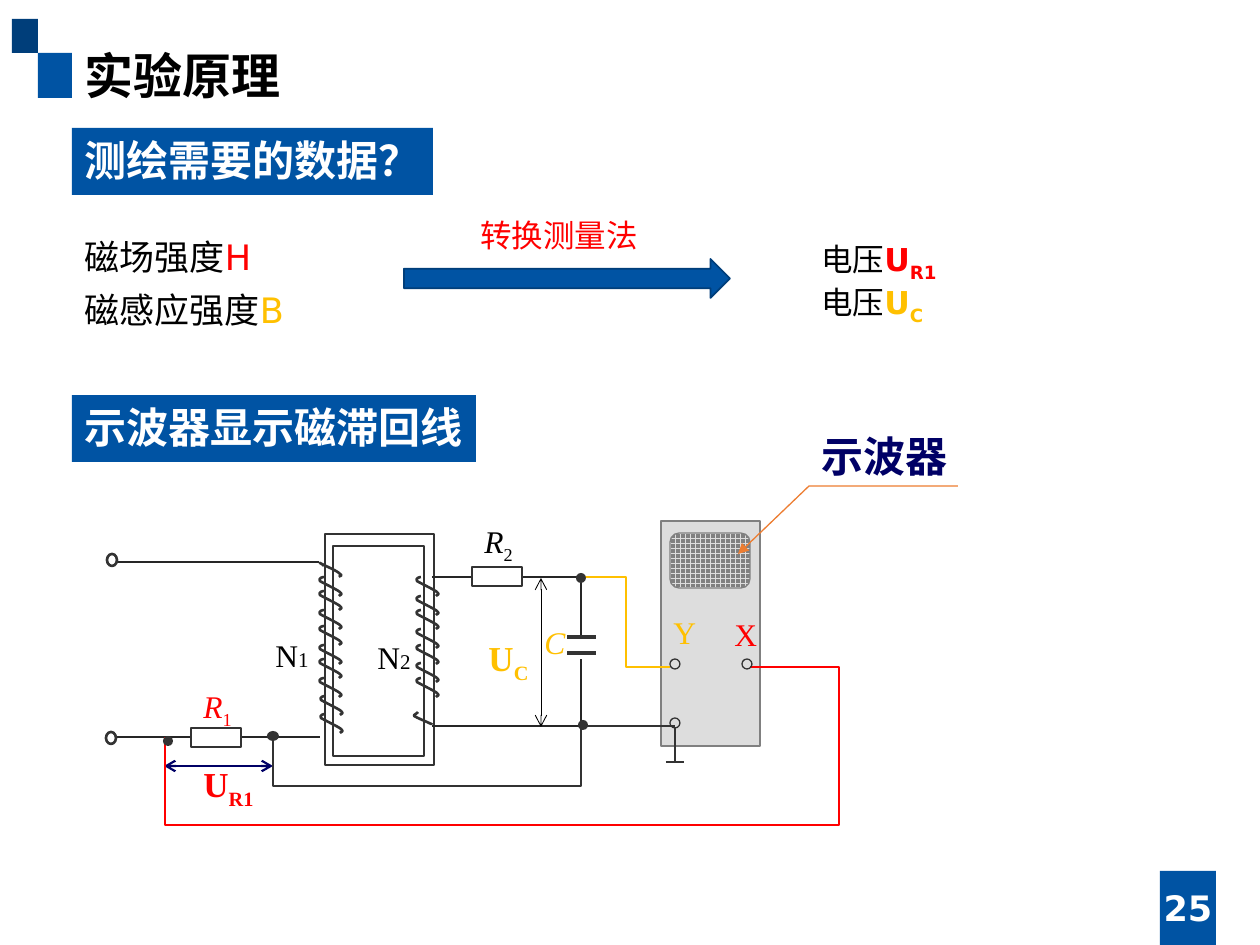
"""Build the hysteresis-loop measurement slide with its circuit diagram."""
from dataclasses import dataclass

import lxml.etree
import pptx
import pptx.dml.color
import pptx.enum.dml
import pptx.enum.shapes
import pptx.enum.text
import pptx.oxml.ns
import pptx.util

RGBColor = pptx.dml.color.RGBColor
Shape = pptx.enum.shapes.MSO_SHAPE
Fit = pptx.enum.text.MSO_AUTO_SIZE
Anchor = pptx.enum.text.MSO_ANCHOR
Align = pptx.enum.text.PP_ALIGN
qn = pptx.oxml.ns.qn

EMU_PER_PX = 914400 / 126
BLUE = RGBColor(0x00, 0x53, 0xA3)
DEEP_BLUE = RGBColor(0x00, 0x3E, 0x7A)
NAVY = RGBColor(0x00, 0x00, 0x66)
RED = RGBColor(0xFF, 0x00, 0x00)
GOLD = RGBColor(0xFF, 0xC0, 0x00)
ORANGE = RGBColor(0xED, 0x7D, 0x31)
BLACK = RGBColor(0x00, 0x00, 0x00)
WHITE = RGBColor(0xFF, 0xFF, 0xFF)
WIRE = RGBColor(0x26, 0x26, 0x26)
DARK = RGBColor(0x33, 0x33, 0x33)
GRAY = RGBColor(0x80, 0x80, 0x80)
LIGHT = RGBColor(0xDD, 0xDD, 0xDD)
SANS, CJK, SERIF = "DejaVu Sans", "Noto Sans CJK SC", "Times New Roman"


@dataclass
class Span:
    text: str
    size: int
    color: RGBColor = BLACK
    font: str = SANS
    bold: bool = False
    italic: bool = False
    sub: bool = False


@dataclass
class Label:
    box: tuple
    lines: list
    wrap: bool = False
    fill: RGBColor | None = None


@dataclass
class Part:
    kind: Shape
    box: tuple
    fill: RGBColor | None = None
    line: RGBColor | None = None
    weight: float = 0.75


@dataclass
class Wire:
    points: list
    color: RGBColor = DARK
    weight: float = 0.75
    head: str = ""
    tail: str = ""


def px(value: float) -> int:
    """Turn pixels into EMU."""
    return round(value * EMU_PER_PX)


def place(shape, box: tuple) -> None:
    """Move and size a shape."""
    shape.left, shape.top, shape.width, shape.height = map(px, box)


def write(frame, lines: list, wrap: bool, fit: Fit, spacing: float | None = None) -> None:
    """Fill a text frame with lines of formatted spans."""
    frame.word_wrap, frame.auto_size = wrap, fit
    for index, spans in enumerate(lines):
        para = frame.paragraphs[0] if index == 0 else frame.add_paragraph()
        para.space_before = pptx.util.Pt(0)
        para.alignment = Align.LEFT
        if spacing:
            para.line_spacing = spacing
        for span in spans:
            run = para.add_run()
            run.text = span.text
            font = run.font
            font.size, font.bold, font.italic = pptx.util.Pt(span.size), span.bold, span.italic
            font.color.rgb, font.name = span.color, span.font
            properties = run._r.get_or_add_rPr()
            lxml.etree.SubElement(properties, qn("a:ea"), typeface=CJK)
            if span.sub:
                properties.set("baseline", "-25000")


def draw_label(page, label: Label):
    """Add a text box."""
    box = page.shapes.add_textbox(*map(px, label.box))
    if label.fill is not None:
        box.fill.solid()
        box.fill.fore_color.rgb = label.fill
    write(box.text_frame, label.lines, label.wrap, Fit.SHAPE_TO_FIT_TEXT)
    return box


def draw_part(page, part: Part):
    """Add a preset shape."""
    shape = page.shapes.add_shape(part.kind, *map(px, part.box))
    shape.shadow.inherit = False
    if part.fill is None:
        shape.fill.background()
    else:
        shape.fill.solid()
        shape.fill.fore_color.rgb = part.fill
    if part.line is None:
        shape.line.fill.background()
    else:
        shape.line.color.rgb = part.line
        shape.line.width = pptx.util.Pt(part.weight)
    return shape


def draw_wire(page, wire: Wire):
    """Add a connector for two points, or an open outline for more."""
    points = [(px(x), px(y)) for x, y in wire.points]
    if len(points) == 2:
        straight = pptx.enum.shapes.MSO_CONNECTOR.STRAIGHT
        shape = page.shapes.add_connector(straight, *points[0], *points[1])
        lxml.etree.SubElement(shape.element.spPr, qn("a:effectLst"))
    else:
        builder = page.shapes.build_freeform(*points[0])
        builder.add_line_segments(points[1:], close=False)
        shape = builder.convert_to_shape()
        shape.shadow.inherit = False
        shape.fill.background()
    shape.line.color.rgb = wire.color
    shape.line.width = pptx.util.Pt(wire.weight)
    outline = shape.element.spPr.find(qn("a:ln"))
    for tag, kind in (("a:headEnd", wire.head), ("a:tailEnd", wire.tail)):
        if kind:
            lxml.etree.SubElement(outline, qn(tag), type=kind)
    return shape


def draw_turn(page, x: int, y: int, curve: list) -> None:
    """Add one coil turn, joining each three segments into a cubic curve."""
    shape = draw_wire(page, Wire([(x + dx, y + dy) for dx, dy in curve], DARK, 1.5))
    segments = list(shape.element.iter(qn("a:lnTo")))
    route = segments[0].getparent()
    for start in range(0, len(segments), 3):
        cubic = lxml.etree.SubElement(route, qn("a:cubicBezTo"))
        for segment in segments[start:start + 3]:
            cubic.append(segment[0])
            route.remove(segment)


TURN = [(0, 0), (-1, 0), (-6, 1), (-4, 4), (-1, 6), (14, 13), (16, 15), (20, 18), (15, 18), (15, 19)]
FIRST_TURN = [(0, 0), (0, -1), (-6, -4), (-4, -3), (-1, -1), (14, 5), (16, 8), (20, 10), (15, 10), (15, 11)]
LAST_TURN = [(0, 0), (0, 1), (-5, 3), (-4, 4), (-1, 6), (9, 10), (11, 11), (14, 13), (14, 11), (14, 11)]
PRIMARY = [(324, y) for y in (577, 591, 610, 626, 645, 659, 678)] + [(325, 696), (325, 714)]
SECONDARY = [(421, y) for y in (577, 596, 610, 629, 645, 663, 678)]

BLOCKS = [
    Part(Shape.RECTANGLE, (38, 53, 34, 45), BLUE),
    Part(Shape.RECTANGLE, (12, 19, 26, 34), DEEP_BLUE),
    Part(Shape.RECTANGLE, (1160, 871, 56, 74), BLUE),
    Part(Shape.RIGHT_ARROW, (404, 259, 326, 39), BLUE, DEEP_BLUE, 1),
    Part(Shape.RECTANGLE, (325, 534, 109, 231), None, DARK, 1.5),
    Part(Shape.RECTANGLE, (333, 546, 91, 210), None, DARK, 1.5),
    Part(Shape.RECTANGLE, (661, 521, 99, 225), LIGHT, GRAY),
]
WIRES = [
    Wire([(164, 766), (273, 766)], NAVY, 1.25, "arrow", "arrow"),
    Wire([(319, 558), (319, 558)], BLACK, 1.5),
    Wire([(319, 562), (117, 562)], WIRE, 1),
    Wire([(320, 737), (117, 737)], WIRE, 1),
    Wire([(432, 577), (581, 577), (581, 637)], WIRE, 1.5),
    Wire([(581, 637), (581, 637)], BLACK),
    Wire([(432, 726), (581, 726), (581, 659)], WIRE, 1.5),
    Wire([(567, 637), (596, 637)], DARK, 2.25),
    Wire([(567, 653), (596, 653)], DARK, 2.25),
    Wire([(675, 728), (675, 762)]),
    Wire([(666, 762), (684, 762)]),
    Wire([(581, 577), (626, 577), (626, 667), (670, 667)], GOLD, 1.5),
    Wire([(581, 726), (675, 726)]),
    Wire([(273, 733), (273, 786), (581, 786), (581, 726)]),
    Wire([(165, 737), (165, 825), (839, 825), (839, 667), (750, 667)], RED, 1.5),
    Wire([(738, 554), (809, 486), (958, 486)], ORANGE, 0.75, "triangle"),
    Wire([(541, 578), (541, 727)], BLACK, 0.5, "arrow", "arrow"),
]
RESISTORS = [Part(Shape.RECTANGLE, (x, y, 50, 19), WHITE, DARK) for x, y in ((191, 728), (472, 567))]
TERMINALS = [Part(Shape.OVAL, (x, y, 10, 12), None, DARK, 1.5) for x, y in ((107, 554), (106, 732))]
PORTS = [Part(Shape.OVAL, (x, y, 10, 10), None, DARK) for x, y in ((670, 659), (742, 659), (670, 718))]
NODES = [Part(Shape.OVAL, (x, y, width, 10), DARK)
         for x, y, width in ((576, 573, 10), (578, 720, 10), (267, 731, 12), (163, 736, 10))]


def symbol(box: tuple, name: str, index: str, color: RGBColor, size: int = 18, index_size: int = 0,
           **style) -> Label:
    """Describe a circuit symbol with an optional index."""
    spans = [Span(name, size, color, SERIF, **style)]
    if index:
        spans.append(Span(index, index_size or size, color, SERIF, style.get("bold", False), sub=not index_size))
    return Label(box, [spans])


def voltage(index: str, color: RGBColor) -> list:
    """Describe one line of the voltage list."""
    return [Span("电压", 18), Span("U", 18, color, bold=True), Span(index, 18, color, bold=True, sub=True)]


LABELS = [
    Label((72, 128, 361, 67), [[Span("测绘需要的数据？", 24, WHITE, bold=True)]], fill=BLUE),
    Label((72, 395, 404, 67), [[Span("示波器显示磁滞回线", 24, WHITE, bold=True)]], fill=BLUE),
    Label((468, 210, 227, 50), [[Span("转换测量法", 18, RED)]], wrap=True),
    Label((809, 234, 253, 89), [voltage("R1", RED), voltage("C", GOLD)], wrap=True),
    Label((809, 424, 152, 63), [[Span("示波器", 24, NAVY, CJK, bold=True)]]),
    symbol((191, 681, 56, 50), "R", "1", RED, italic=True),
    symbol((472, 516, 56, 50), "R", "2", BLACK, italic=True),
    symbol((722, 609, 48, 50), "X", "", RED),
    symbol((661, 607, 48, 50), "Y", "", GOLD),
    symbol((532, 617, 47, 50), "C", "", GOLD, italic=True),
    symbol((263, 630, 60, 50), "N", "1", BLACK, index_size=12),
    symbol((365, 632, 60, 50), "N", "2", BLACK, index_size=12),
    symbol((191, 756, 78, 54), "U", "R1", RED, 20, bold=True),
    symbol((476, 630, 67, 54), "U", "C", GOLD, 20, bold=True),
]


def main() -> None:
    """Build and save the deck."""
    deck = pptx.Presentation()
    deck.slide_width, deck.slide_height = px(1260), px(945)
    page = deck.slides.add_slide(deck.slide_layouts[1])
    title, body = page.shapes.title, page.placeholders[1]
    place(title, (72, 39, 558, 72))
    title.text_frame.vertical_anchor = Anchor.TOP
    write(title.text_frame, [[Span("实验原理", 28, BLACK, CJK, bold=True)]], True, Fit.NONE)
    place(body, (72, 219, 265, 118))
    write(body.text_frame, [[Span("磁场强度", 20), Span("H", 20, RED)],
                            [Span("磁感应强度", 20), Span("B", 20, GOLD)]], True, Fit.NONE, 1.25)
    for para in body.text_frame.paragraphs:
        properties = para._p.get_or_add_pPr()
        properties.set("marL", "0")
        properties.set("indent", "0")
        lxml.etree.SubElement(properties, qn("a:buNone"))

    for block in BLOCKS:
        draw_part(page, block)
    screen = draw_part(page, Part(Shape.ROUNDED_RECTANGLE, (670, 533, 80, 55), LIGHT, GRAY))
    screen.fill.patterned()
    screen.fill.pattern = pptx.enum.dml.MSO_PATTERN.CROSS
    screen.fill.fore_color.rgb, screen.fill.back_color.rgb = LIGHT, GRAY
    draw_turn(page, 324, 566, FIRST_TURN)
    for x, y in PRIMARY + SECONDARY:
        draw_turn(page, x, y, TURN)
    draw_turn(page, 418, 712, LAST_TURN)
    for wire in WIRES:
        draw_wire(page, wire)
    for part in RESISTORS + TERMINALS + PORTS + NODES:
        draw_part(page, part)
    for label in LABELS:
        draw_label(page, label)
    number = draw_label(page, Label((1116, 883, 144, 50), [[Span("25", 20, WHITE, bold=True)]], wrap=True))
    number.text_frame.auto_size = Fit.NONE
    number.text_frame.vertical_anchor = Anchor.MIDDLE
    number.text_frame.paragraphs[0].alignment = Align.CENTER
    deck.save("out.pptx")


if __name__ == "__main__":
    main()
